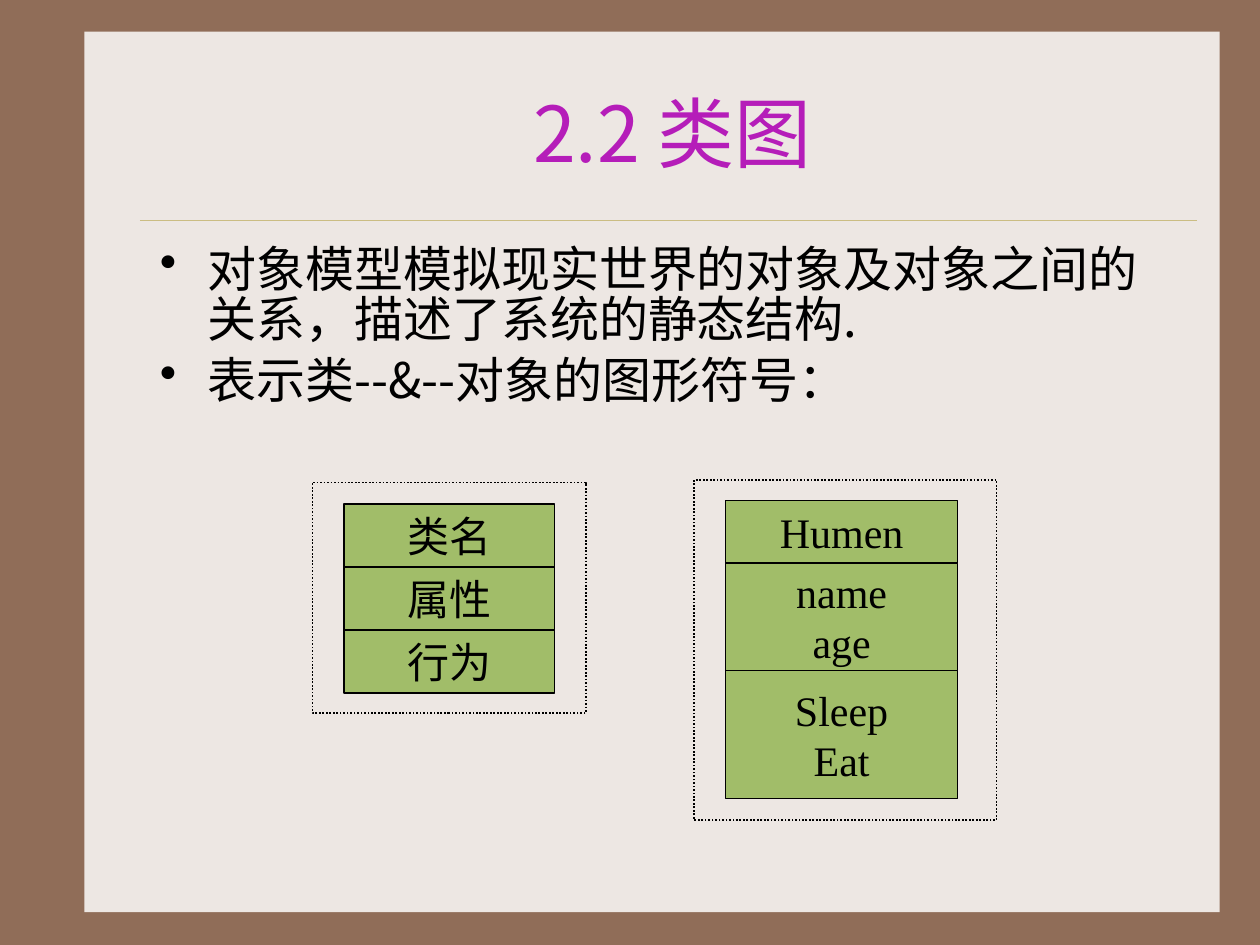
from lxml.etree import SubElement
from pptx import Presentation
from pptx.dml.color import RGBColor
from pptx.enum.dml import MSO_LINE as Dash
from pptx.enum.shapes import MSO_CONNECTOR as Conn, MSO_SHAPE as Shape
from pptx.enum.text import MSO_ANCHOR as Anchor, PP_ALIGN as Align
from pptx.oxml.ns import qn
from pptx.util import Inches, Pt


def color(code):
    return RGBColor.from_string(code)


class Deck:
    sans, serif = "Noto Sans CJK SC", "Times New Roman"
    brown, paper, gold = "906D58", "EDE7E3", "CBBD83"
    green, purple, black = "A1BD69", "B51DB9", "000000"

    def __init__(self, wide, high):
        self.prs = Presentation()
        self.prs.slide_width = Inches(wide)
        self.prs.slide_height = Inches(high)
        self.slide = self.prs.slides.add_slide(self.prs.slide_layouts[6])
        back = self.slide.background.fill
        back.solid()
        back.fore_color.rgb = color(self.brown)

    def rect(self, x, y, w, h, fill=None, line=None, width=0.75, dash=None):
        box = self.slide.shapes.add_shape(
            Shape.RECTANGLE, Inches(x), Inches(y), Inches(w), Inches(h))
        box.shadow.inherit = False
        if fill:
            box.fill.solid()
            box.fill.fore_color.rgb = color(fill)
        else:
            box.fill.background()
        if line:
            box.line.color.rgb = color(line)
            box.line.width = Pt(width)
            if dash:
                box.line.dash_style = dash
        else:
            box.line.fill.background()
        return box

    def rule(self, x1, x2, y):
        line = self.slide.shapes.add_connector(
            Conn.STRAIGHT, Inches(x1), Inches(y), Inches(x2), Inches(y))
        line.line.color.rgb = color(self.gold)
        line.line.width = Pt(0.25)
        SubElement(line._element.spPr, qn("a:effectLst"))

    def fill_text(self, frame, lines, size, face, ink, align=Align.CENTER,
                  bullet=False):
        for i, text in enumerate(lines):
            para = frame.paragraphs[0] if i == 0 else frame.add_paragraph()
            para.text = text
            para.alignment = align
            props = para._p.get_or_add_pPr()
            if bullet:
                para.space_before = Pt(7)
                para.line_spacing = 0.84
                props.set("marL", str(Inches(0.38)))
                props.set("indent", str(-Inches(0.38)))
                SubElement(props, qn("a:buChar"), char="•")
            font = para.font
            font.size, font.name = Pt(size), face
            font.color.rgb = color(ink)
            # Chinese glyphs take the sans face throughout
            SubElement(props.find(qn("a:defRPr")), qn("a:ea"),
                       typeface=self.sans)

    def text(self, x, y, w, h, lines, size, ink, anchor=Anchor.TOP, **style):
        box = self.slide.shapes.add_textbox(
            Inches(x), Inches(y), Inches(w), Inches(h))
        frame = box.text_frame
        frame.word_wrap = True
        frame.vertical_anchor = anchor
        self.fill_text(frame, lines, size, self.sans, ink, **style)

    def uml(self, frame, x, y, w, parts):
        """Dotted frame around a stack of (height, lines) parts."""
        self.rect(*frame, line=self.black, width=1, dash=Dash.ROUND_DOT)
        for h, lines in parts:
            cell = self.rect(x, y, w, h, self.green, self.black).text_frame
            cell.word_wrap = False
            cell.vertical_anchor = Anchor.MIDDLE
            self.fill_text(cell, lines, 24, self.serif, self.black)
            y += h


def main():
    deck = Deck(10, 7.5)

    # Page and title rule
    deck.rect(0.67, 0.25, 9.01, 6.99, deck.paper)
    deck.rule(1.11, 9.5, 1.75)

    # Title and body
    deck.text(1.17, 0.42, 8.33, 1.25, ["2.2 类图"], 44, deck.purple,
              Anchor.MIDDLE, align=Align.CENTER)
    deck.text(1.17, 1.92, 8.33, 1.75,
              ["对象模型模拟现实世界的对象及对象之间的关系，描述了系统的静态结构.",
               "表示类--&--对象的图形符号："],
              28, deck.black, align=Align.LEFT, bullet=True)

    # Class symbol and example
    deck.uml((2.48, 3.83, 2.17, 1.83), 2.73, 4, 1.67,
             [(0.5, [name]) for name in ("类名", "属性", "行为")])
    deck.uml((5.51, 3.81, 2.4, 2.7), 5.76, 3.97, 1.84,
             [(0.5, ["Humen"]), (0.85, ["name", "age"]),
              (1.02, ["Sleep", "Eat"])])

    deck.prs.save("out.pptx")


if __name__ == "__main__":
    main()
